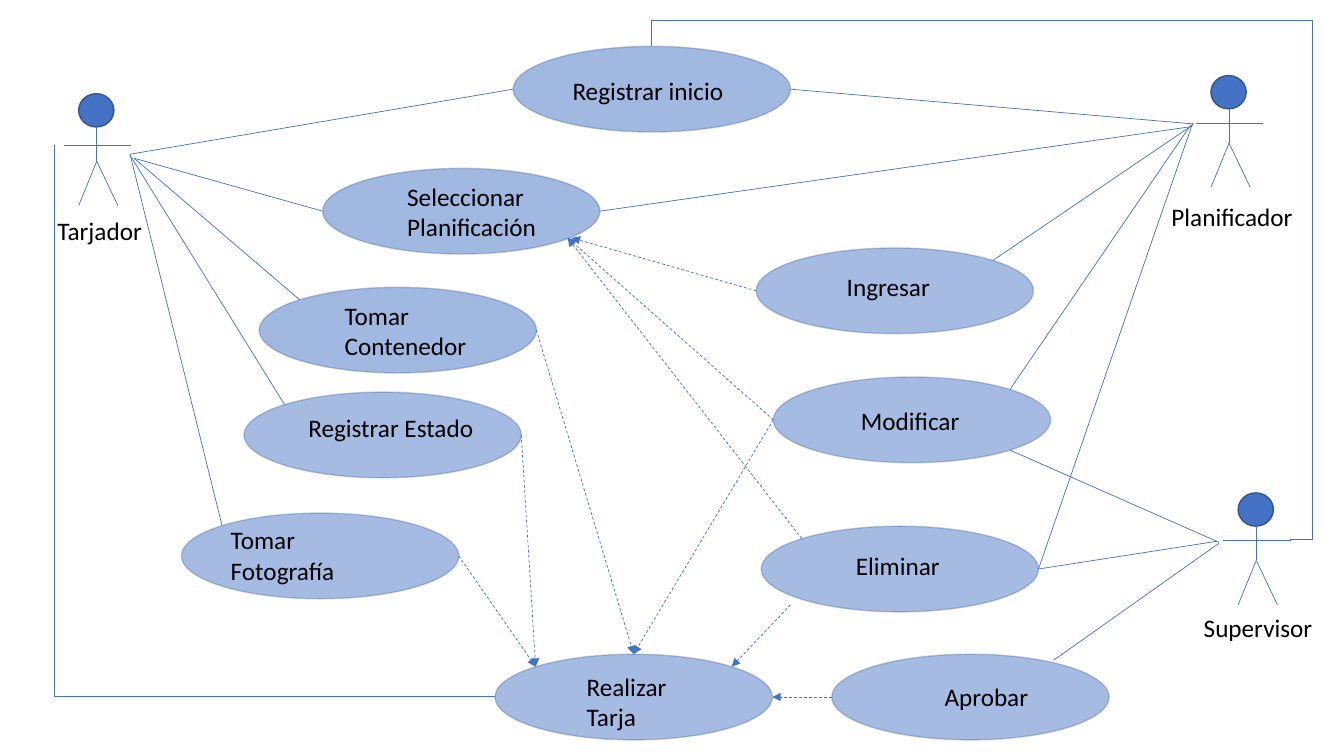
from math import cos, radians, sin

from lxml.etree import SubElement
from pptx import Presentation
from pptx.dml.color import RGBColor
from pptx.enum.dml import MSO_LINE
from pptx.enum.shapes import MSO_CONNECTOR, MSO_SHAPE
from pptx.enum.text import MSO_ANCHOR, MSO_AUTO_SIZE
from pptx.oxml.ns import qn
from pptx.util import Inches, Pt

BLUE = RGBColor(0x44, 0x72, 0xC4)
NAVY = RGBColor(0x32, 0x54, 0x91)
BLACK = RGBColor(0, 0, 0)
COLS, ROWS = 13.33, 7.5  # the slide's grid
OVAL_W, OVAL_H = 2.75, 0.85
ANGLES = {"e": 0, "se": 45, "s": 90, "sw": 135,
          "w": 180, "nw": 225, "n": 270, "ne": 315}


class Diagram:
    """Style and current slide of a use case diagram."""

    font, size, thin = "Calibri", Pt(18), Pt(0.5)

    def __init__(self):
        self.deck = Presentation()
        self.deck.slide_width, self.deck.slide_height = Inches(COLS), Inches(ROWS)
        self.shapes = self.deck.slides.add_slide(self.deck.slide_layouts[6]).shapes

    def grid(self, *lengths):
        """Turn grid cells into slide lengths."""
        cell = self.deck.slide_width / COLS
        return [round(length * cell) for length in lengths]

    def oval(self, box, opacity=None):
        shape = self.shapes.add_shape(MSO_SHAPE.OVAL, *self.grid(*box))
        shape.shadow.inherit = False
        shape.fill.solid()
        shape.fill.fore_color.rgb = BLUE
        shape.line.color.rgb = NAVY
        shape.line.width = Pt(1)
        if opacity:
            fill, edge = shape.element.spPr.iter(qn("a:srgbClr"))
            for color, percent in ((fill, opacity), (edge, 30)):
                SubElement(color, qn("a:alpha"), val=str(percent * 1000))

    def label(self, words, box, anchor=MSO_ANCHOR.MIDDLE):
        frame = self.shapes.add_textbox(*self.grid(*box)).text_frame
        frame.word_wrap = True
        frame.auto_size = MSO_AUTO_SIZE.SHAPE_TO_FIT_TEXT
        frame.vertical_anchor = anchor
        run = frame.paragraphs[0].add_run()
        run.text = words
        run.font.name, run.font.size = self.font, self.size
        run.font.color.rgb = BLACK

    def line(self, start, end, kind=MSO_CONNECTOR.STRAIGHT):
        line = self.shapes.add_connector(kind, *self.grid(*start, *end))
        line.line.color.rgb = BLUE
        line.line.width = self.thin
        SubElement(line.element.spPr, qn("a:effectLst"))
        return line

    def dependency(self, start, end):
        arrow = self.line(start, end)
        arrow.line.dash_style = MSO_LINE.DASH
        SubElement(arrow.line._get_or_add_ln(), qn("a:tailEnd"), type="triangle")

    def elbow(self, box, preset, *bends):
        """Bent connector, mirrored and turned by 270 degrees."""
        left, top, width, height = box
        bent = self.line((left, top), (left + width, top + height), MSO_CONNECTOR.ELBOW)
        xfrm = bent.element.spPr.find(qn("a:xfrm"))
        xfrm.set("rot", str(270 * 60000))
        xfrm.set("flipH", "1")
        geometry = bent.element.spPr.find(qn("a:prstGeom"))
        geometry.set("prst", preset)
        guides = geometry.find(qn("a:avLst"))
        for number, bend in enumerate(bends, 1):
            SubElement(guides, qn("a:gd"), name=f"adj{number}",
                       fmla=f"val {round(bend * 100000)}")

    def actor(self, name, head, name_box, arms=0.47):
        x, y = head
        self.oval((x, y, 0.35, 0.33))
        hip = (x + 0.18, y + 0.67)
        self.line((x + 0.18, y + 0.33), hip)
        for foot in (0, 0.39):
            self.line(hip, (x + foot, y + 1.11))
        self.line((x - 0.15, y + arms), (x + 0.52, y + arms))
        self.label(name, name_box, MSO_ANCHOR.TOP)


diagram = Diagram()

# Actors
diagram.actor("Tarjador", (0.78, 0.93), (0.47, 2.09, 1.08, 0.42), arms=0.51)
diagram.actor("Planificador", (12.01, 0.75), (11.52, 1.95, 1.58, 0.4))
diagram.actor("Supervisor", (12.28, 4.89), (11.84, 6.03, 1.58, 0.4))

# Use cases: oval corner, opacity, label box
use_cases = {
    "Registrar inicio": ((5.09, 0.46), 50, (5.58, 0.7, 1.91, 0.4)),
    "Seleccionar Planificación": ((3.2, 1.67), 50, (3.94, 1.74, 1.69, 0.71)),
    "Tomar Contenedor": ((2.57, 2.85), 50, (3.32, 2.92, 1.69, 0.71)),
    "Registrar Estado": ((2.42, 3.89), 48, (2.96, 4.04, 1.87, 0.4)),
    "Tomar Fotografía": ((1.8, 5.09), 48, (2.19, 5.15, 1.89, 0.71)),
    "Ingresar": ((7.5, 2.46), 48, (8.3, 2.64, 1.23, 0.4)),
    "Modificar": ((7.67, 3.74), 48, (8.44, 3.97, 1.33, 0.4)),
    "Eliminar": ((7.55, 5.22), 48, (8.39, 5.41, 1.14, 0.4)),
    "Realizar Tarja": ((4.91, 6.49), 48, (5.72, 6.6, 1.12, 0.71)),
    "Aprobar": ((8.25, 6.49), 48, (9.27, 6.71, 1.18, 0.4)),
}
for name, (corner, opacity, label_box) in use_cases.items():
    diagram.oval((*corner, OVAL_W, OVAL_H), opacity)
    diagram.label(name, label_box)


def port(name, side):
    """Point on the rim of a use case."""
    (left, top), angle = use_cases[name][0], radians(ANGLES[side])
    return (left + OVAL_W / 2 * (1 + cos(angle)), top + OVAL_H / 2 * (1 + sin(angle)))


# Associations of each actor
associations = [
    ((1.29, 1.53), "Registrar inicio", "w"),
    ((1.33, 1.57), "Seleccionar Planificación", "w"),
    ((1.33, 1.57), "Tomar Contenedor", "nw"),
    ((1.29, 1.54), "Registrar Estado", "nw"),
    ((1.29, 1.53), "Tomar Fotografía", "nw"),
    ((11.84, 1.23), "Registrar inicio", "e"),
    ((11.79, 1.26), "Seleccionar Planificación", "e"),
    ((11.83, 1.24), "Ingresar", "ne"),
    ((11.81, 1.24), "Modificar", "ne"),
    ((11.83, 1.22), "Eliminar", "e"),
    ((12.09, 5.38), "Modificar", "se"),
    ((12.07, 5.37), "Eliminar", "e"),
]
for hand, name, side in associations:
    diagram.line(hand, port(name, side))
diagram.line((12.09, 5.39), (10.45, 6.55))  # Supervisor to Aprobar
diagram.elbow((7.18, -0.26, 4.9, 6.33), "bentConnector4", -0.051, 1.035)
diagram.elbow((-0.01, 1.99, 5.47, 4.37), "bentConnector2")

# Dependencies on Realizar Tarja
for name, side, target in [("Tomar Contenedor", "e", "n"), ("Modificar", "w", "n"),
                           ("Registrar Estado", "e", "nw"),
                           ("Tomar Fotografía", "e", "nw"), ("Aprobar", "w", "e")]:
    diagram.dependency(port(name, side), port("Realizar Tarja", target))
diagram.dependency((7.84, 6), port("Realizar Tarja", "ne"))

# Dependencies on Seleccionar Planificación
for name, side, tip in [("Eliminar", "nw", 5.63), ("Modificar", "w", 5.63),
                        ("Ingresar", "w", 5.67)]:
    diagram.dependency(port(name, side), (tip, 2.36))

diagram.deck.save("out.pptx")
